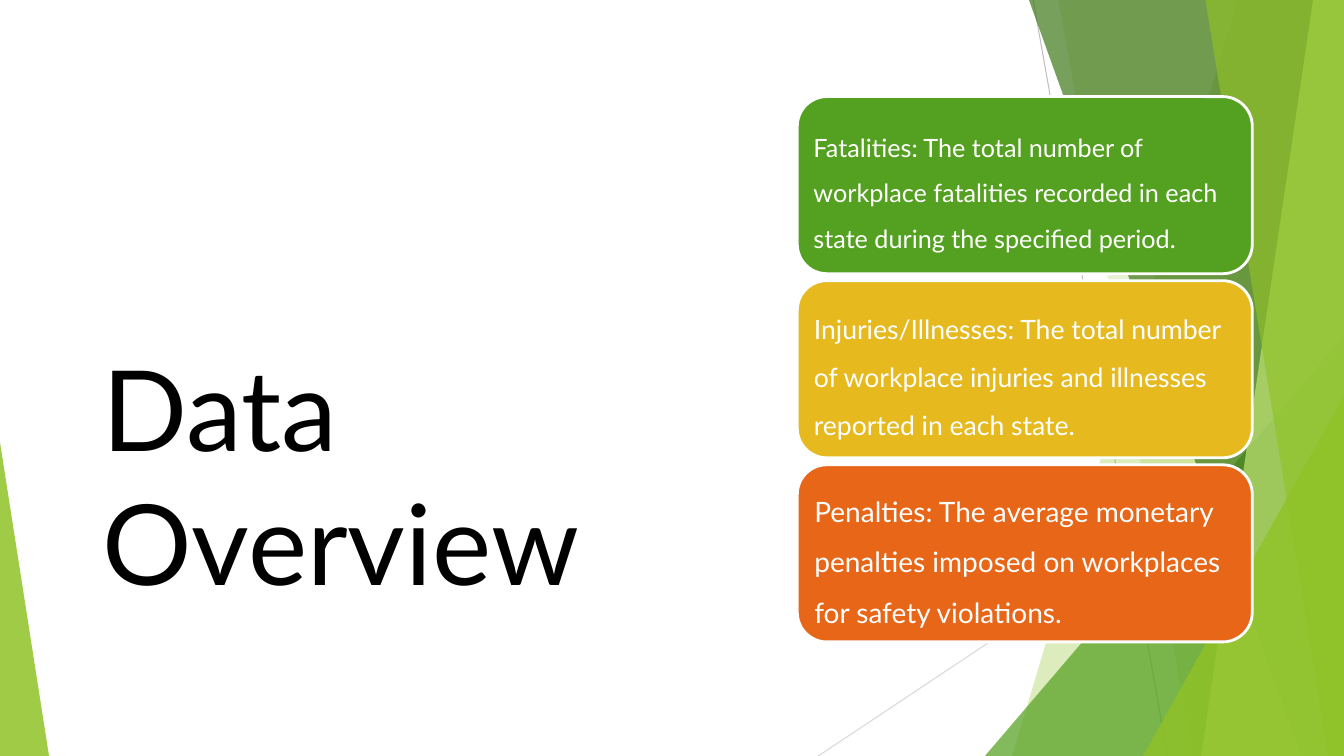
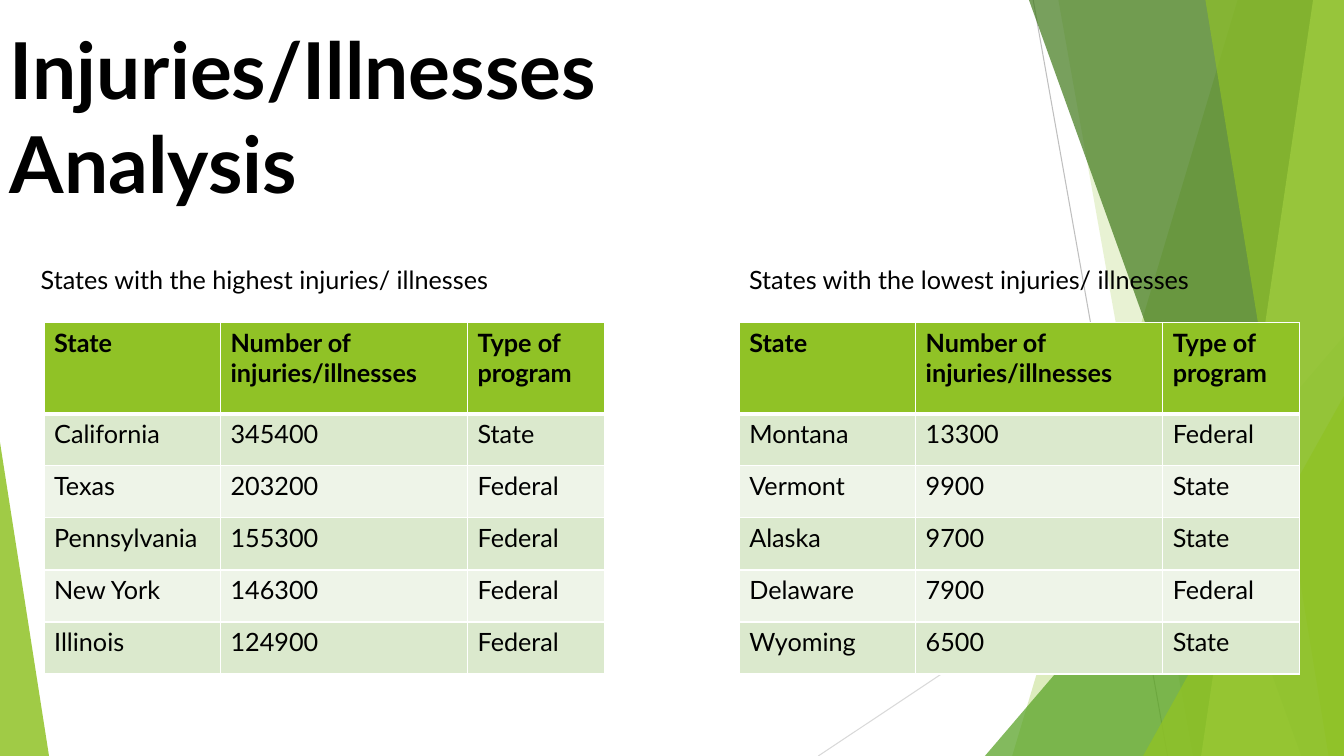
"""Build two slides on workplace safety data over a shared green facet backdrop."""
from lxml.etree import SubElement
from pptx import Presentation
from pptx.dml.color import RGBColor
from pptx.enum.shapes import MSO_CONNECTOR, MSO_SHAPE
from pptx.enum.text import MSO_ANCHOR, PP_ALIGN
from pptx.oxml.ns import qn
from pptx.util import Pt

FONT = "Lato"
WIDTH, HEIGHT = 960, 540
BLACK = RGBColor(0x00, 0x00, 0x00)
WHITE = RGBColor(0xFF, 0xFF, 0xFF)
LIME = RGBColor(0x90, 0xC2, 0x26)
GREEN = RGBColor(0x54, 0xA0, 0x21)
DARK_GREEN = RGBColor(0x3F, 0x78, 0x19)
PALE_LIME = RGBColor(0xC0, 0xE4, 0x74)
YELLOW = RGBColor(0xE6, 0xB9, 0x1E)
ORANGE = RGBColor(0xE7, 0x66, 0x18)
GRAY = RGBColor(0xBF, 0xBF, 0xBF)
LIGHT_GRAY = RGBColor(0xD9, 0xD9, 0xD9)
ROW_FILLS = (RGBColor(0xDB, 0xE9, 0xCD), RGBColor(0xEE, 0xF4, 0xE8))

COLUMN_WIDTHS = (126, 176.5, 98)
HEADER_HEIGHT, ROW_HEIGHT = 65, 37.2
HEADER = ("State", "Number of injuries/illnesses", "Type of program")
HIGHEST = (
    ("California", "345400", "State"),
    ("Texas", "203200", "Federal"),
    ("Pennsylvania", "155300", "Federal"),
    ("New York", "146300", "Federal"),
    ("Illinois", "124900", "Federal"),
)
LOWEST = (
    ("Montana", "13300", "Federal"),
    ("Vermont", "9900", "State"),
    ("Alaska", "9700", "State"),
    ("Delaware", "7900", "Federal"),
    ("Wyoming", "6500", "State"),
)
CARDS = (
    ("Fatalities: The total number of workplace fatalities recorded in each "
     "state during the specified period.", 18, GREEN),
    ("Injuries/Illnesses: The total number of workplace injuries and illnesses "
     "reported in each state.", 19, YELLOW),
    ("Penalties: The average monetary penalties imposed on workplaces for "
     "safety violations.", 20, ORANGE),
)


def write(text_frame, text, size, color=BLACK, bold=False):
    """Set the text of a frame and format its single run."""
    text_frame.text = text
    font = text_frame.paragraphs[0].runs[0].font
    font.name, font.size, font.bold = FONT, Pt(size), bold
    font.color.rgb = color


def add_text(slide, box, text, size, bold=False, anchor=MSO_ANCHOR.TOP):
    """Add a wrapping text box."""
    text_frame = slide.shapes.add_textbox(*map(Pt, box)).text_frame
    text_frame.word_wrap = True
    text_frame.vertical_anchor = anchor
    write(text_frame, text, size, bold=bold)


def add_title(slide, box, text, size, bold=False):
    """Add a title that rests on the bottom of its box."""
    add_text(slide, box, text, size, bold, MSO_ANCHOR.BOTTOM)


def tint(shape, color, opacity):
    """Give a shape a translucent fill without line or shadow."""
    shape.shadow.inherit = False
    shape.line.fill.background()
    shape.fill.solid()
    shape.fill.fore_color.rgb = color
    color_element = shape.fill._xPr.find(qn("a:solidFill"))[0]
    SubElement(color_element, qn("a:alpha"), val=str(opacity * 1000))


def add_line(slide, ends, color):
    """Add a thin straight line."""
    line = slide.shapes.add_connector(MSO_CONNECTOR.STRAIGHT, *map(Pt, ends))
    line.line.color.rgb = color
    line.line.width = Pt(0.75)
    SubElement(line._element.spPr, qn("a:effectLst"))


def add_band(slide, top_left, bottom_left, color, opacity):
    """Add a full-height band from a slanted left edge to the right of the slide."""
    builder = slide.shapes.build_freeform(Pt(top_left), 0)
    corners = ((WIDTH, 0), (WIDTH, HEIGHT), (bottom_left, HEIGHT))
    builder.add_line_segments([(Pt(x), Pt(y)) for x, y in corners])
    tint(builder.convert_to_shape(), color, opacity)


def add_triangle(slide, left, top, width, apex, color, opacity):
    """Add a right triangle that stands on the bottom of the slide."""
    box = map(Pt, (left, top, width, HEIGHT - top))
    triangle = slide.shapes.add_shape(MSO_SHAPE.ISOSCELES_TRIANGLE, *box)
    triangle.adjustments[0] = apex
    tint(triangle, color, opacity)


def add_backdrop(slide):
    """Draw the facets that every slide shares."""
    add_line(slide, (738, 0, 834, HEIGHT), GRAY)
    add_line(slide, (WIDTH, 290, 584.5, HEIGHT), LIGHT_GRAY)
    add_band(slide, 884, 723, LIME, 30)
    add_band(slide, 756, 852, LIME, 20)
    add_triangle(slide, 703.5, 240, 256.5, 1, GREEN, 72)
    add_band(slide, 735, 929.5, DARK_GREEN, 70)
    add_band(slide, 938, 858, PALE_LIME, 70)
    add_band(slide, 861, 949, LIME, 65)
    add_triangle(slide, 816.5, 283, 143.5, 1, LIME, 80)
    add_triangle(slide, 0, 316, 35, 0, LIME, 85)


def add_card(slide, top, text, size, color):
    """Add a rounded card with a white outline and text."""
    box = map(Pt, (569.5, top, 325, 126.5))
    card = slide.shapes.add_shape(MSO_SHAPE.ROUNDED_RECTANGLE, *box)
    card.shadow.inherit = False
    card.fill.solid()
    card.fill.fore_color.rgb = color
    card.line.color.rgb = WHITE
    card.line.width = Pt(2)
    text_frame = card.text_frame
    text_frame.word_wrap = True
    text_frame.margin_left = text_frame.margin_right = Pt(size * 0.3)
    text_frame.margin_top = text_frame.margin_bottom = Pt(size * 0.3)
    write(text_frame, text, size, WHITE)
    paragraph = text_frame.paragraphs[0]
    paragraph.alignment = PP_ALIGN.LEFT
    paragraph.line_spacing = 1.5


def set_borders(cell, top, bottom):
    """Give a cell white borders, with top and bottom widths as told."""
    properties = cell._tc.get_or_add_tcPr()
    for side, width in (("L", 1), ("R", 1), ("T", top), ("B", bottom)):
        border = SubElement(properties, qn(f"a:ln{side}"), w=str(Pt(width)))
        fill = SubElement(border, qn("a:solidFill"))
        SubElement(fill, qn("a:srgbClr"), val=str(WHITE))


def add_state_table(slide, left, records):
    """Add a table of states under a green header row."""
    rows = (HEADER, *records)
    height = HEADER_HEIGHT + ROW_HEIGHT * len(records)
    box = map(Pt, (left, 230.5, sum(COLUMN_WIDTHS), height))
    table = slide.shapes.add_table(len(rows), len(HEADER), *box).table
    for column, width in zip(table.columns, COLUMN_WIDTHS):
        column.width = Pt(width)
    for index, values in enumerate(rows):
        is_header = index == 0
        table.rows[index].height = Pt(HEADER_HEIGHT if is_header else ROW_HEIGHT)
        for cell, value in zip(table.rows[index].cells, values):
            set_borders(cell, 3 if index == 1 else 1, 3 if is_header else 1)
            cell.fill.solid()
            cell.fill.fore_color.rgb = LIME if is_header else ROW_FILLS[(index - 1) % 2]
            write(cell.text_frame, value, 18, bold=is_header)


def add_slide(presentation):
    """Add a blank slide with the shared backdrop."""
    slide = presentation.slides.add_slide(presentation.slide_layouts[6])
    add_backdrop(slide)
    return slide


def build_overview(presentation):
    """Build the slide that explains the three measures."""
    slide = add_slide(presentation)
    add_title(slide, (66, 30, 414, 408), "Data Overview", 80)
    for index, (text, size, color) in enumerate(CARDS):
        add_card(slide, 69 + 131.5 * index, text, size, color)


def build_analysis(presentation):
    """Build the slide that compares the highest and lowest states."""
    slide = add_slide(presentation)
    add_title(slide, (0, 0, 463, 153), "Injuries/Illnesses Analysis", 56, bold=True)
    groups = (
        ("highest", 22, 31.5, HIGHEST),
        ("lowest", 528, 528, LOWEST),
    )
    for rank, caption_left, table_left, records in groups:
        add_state_table(slide, table_left, records)
        caption = f"States with the {rank} injuries/ illnesses"
        add_text(slide, (caption_left, 185, 356.5, 29), caption, 18)


def main():
    """Create and save the presentation."""
    presentation = Presentation()
    presentation.slide_width = Pt(WIDTH)
    presentation.slide_height = Pt(HEIGHT)
    build_overview(presentation)
    build_analysis(presentation)
    presentation.save("out.pptx")


if __name__ == "__main__":
    main()
